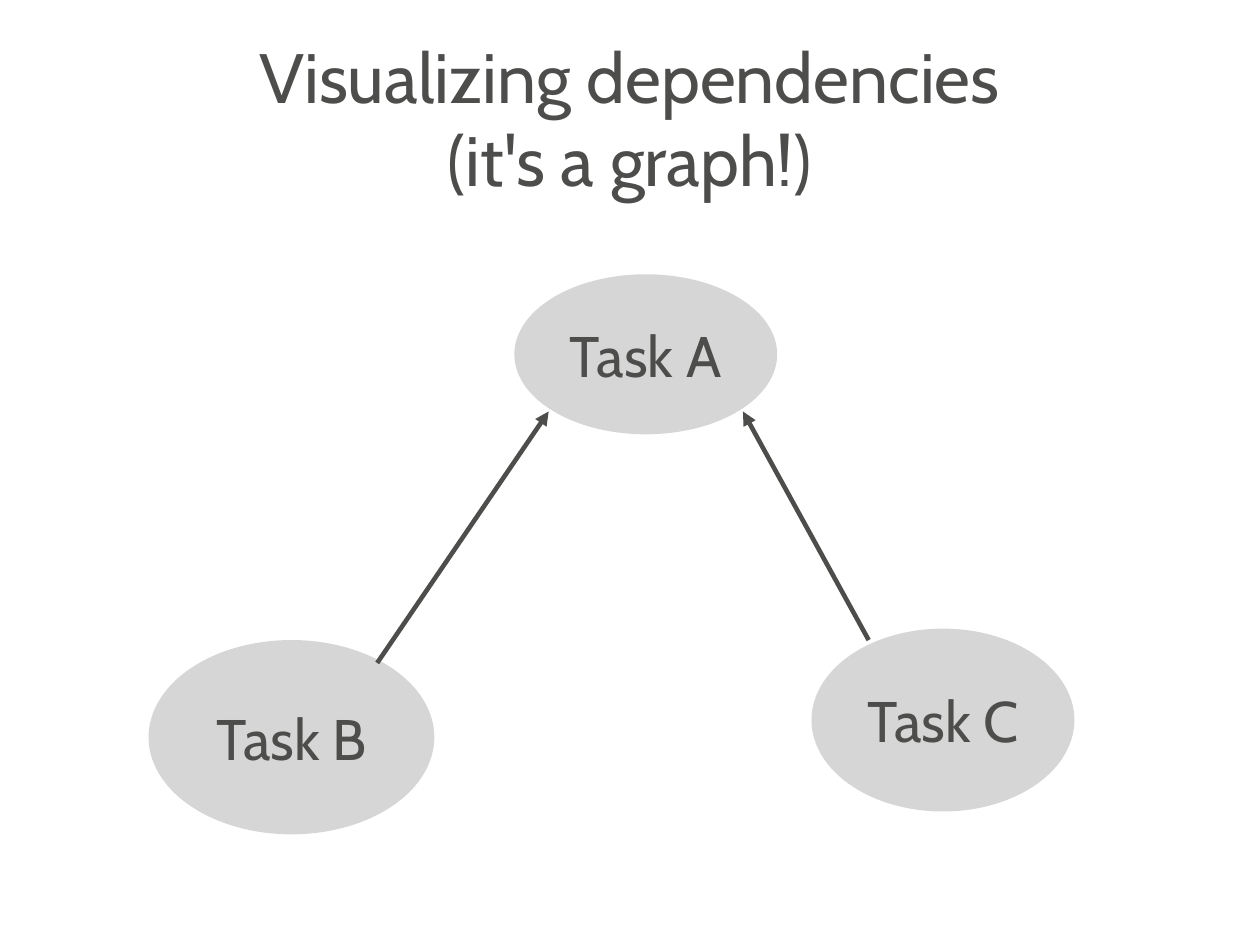
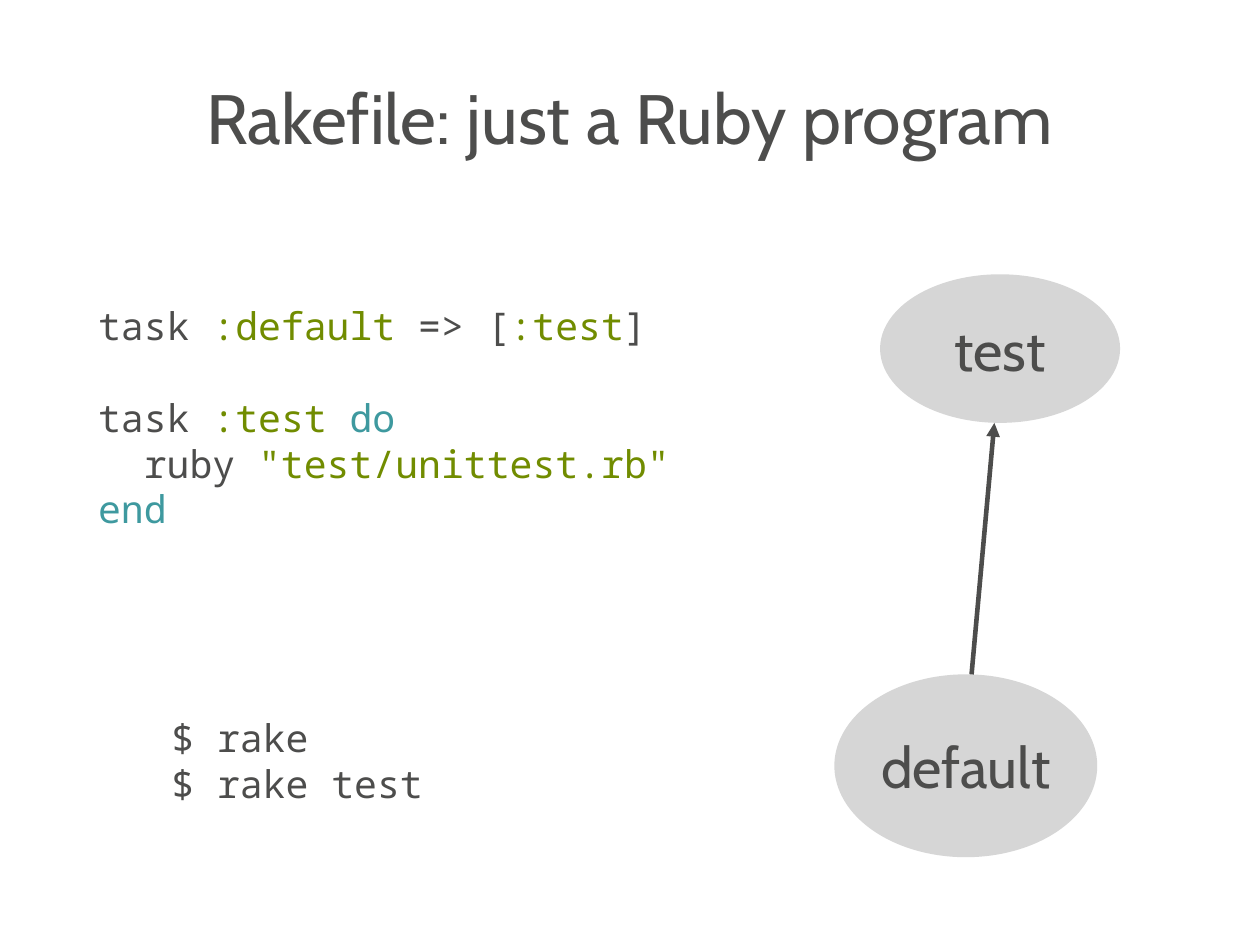
from lxml import etree
from pptx import Presentation
from pptx.dml.color import RGBColor
from pptx.enum.shapes import MSO_CONNECTOR, MSO_SHAPE
from pptx.enum.text import MSO_ANCHOR, PP_ALIGN
from pptx.oxml.ns import qn
from pptx.util import Inches, Pt

# Shared style
DARK, GREY, GREEN, TEAL = "4D4D4C", "D6D6D6", "718C00", "3E999F"
SANS, MONO = "Cabin", "Noto Sans Mono"
CODE_SIZE, CODE_LINE, CODE_CHAR = 24, 28.8, 0.2
CM_PER_INCH = 2.54


def rgb(color):
    return RGBColor.from_string(color)


def add_run(p, text, size, font, color=DARK):
    r = p.add_run()
    r.text = text
    r.font.size = Pt(size)
    r.font.name = font
    r.font.color.rgb = rgb(color)


# Slide content: nodes are (text, left, top, width, height),
# arrows are (x1, y1, x2, y2), and code lines are
# (indent in characters, blank lines before, runs)
slides = [
    {
        "title": ["Visualizing dependencies", "(it's a graph!)"],
        "title_box": (0.55, 0.19, 9.92, 1.67),
        "code": [],
        "nodes": [
            ("Task B", 1.3, 5.6, 2.5, 1.7),
            ("Task A", 4.5, 2.4, 2.3, 1.4),
            ("Task C", 7.1, 5.5, 2.3, 1.6),
        ],
        "arrows": [(3.3, 5.8, 4.8, 3.6), (7.6, 5.6, 6.5, 3.6)],
    },
    {
        "title": ["Rakefile: just a Ruby program"],
        "title_box": (0.55, 0.33, 9.92, 1.38),
        "code": [
            ((0.76, 2.6, 5.21, 2.6), [
                (0, 0, [("task ", DARK), (":default", GREEN), (" => [", DARK),
                        (":test", GREEN), ("]", DARK)]),
                (0, 1, [("task ", DARK), (":test ", GREEN), ("do", TEAL)]),
                (2, 0, [("ruby ", DARK), ('"test/unittest.rb"', GREEN)]),
                (0, 0, [("end", TEAL)]),
            ]),
            ((1.4, 6.2, 3.52, 1.3), [
                (0, 0, [("$ rake", DARK)]),
                (0, 0, [("$ rake test", DARK)]),
            ]),
        ],
        "nodes": [
            ("default", 7.3, 5.9, 2.3, 1.6),
            ("test", 7.7, 2.4, 2.1, 1.3),
        ],
        "arrows": [(8.5, 5.9, 8.7, 3.7)],
    },
]

# The page is 28 by 21 cm
prs = Presentation()
prs.slide_width = Inches(28 / CM_PER_INCH)
prs.slide_height = Inches(21 / CM_PER_INCH)

for content in slides:
    s = prs.slides.add_slide(prs.slide_layouts[6])

    # Title
    tf = s.shapes.add_textbox(*map(Inches, content["title_box"])).text_frame
    tf.word_wrap = True
    tf.vertical_anchor = MSO_ANCHOR.MIDDLE
    tf.margin_left = tf.margin_right = tf.margin_top = tf.margin_bottom = 0
    p = tf.paragraphs[0]
    p.alignment = PP_ALIGN.CENTER
    for i, line in enumerate(content["title"]):
        if i:
            p.add_line_break()
        add_run(p, line, 44, SANS)

    # Code
    for box, lines in content["code"]:
        tf = s.shapes.add_textbox(*map(Inches, box)).text_frame
        tf.word_wrap = False
        for i, (indent, blanks, runs) in enumerate(lines):
            p = tf.add_paragraph() if i else tf.paragraphs[0]
            p.space_before = Pt(blanks * CODE_LINE)
            if indent:
                p._p.get_or_add_pPr().set("marL", str(Inches(indent * CODE_CHAR)))
            for text, color in runs:
                add_run(p, text, CODE_SIZE, MONO, color)

    # Graph nodes
    for text, *box in content["nodes"]:
        sp = s.shapes.add_shape(MSO_SHAPE.OVAL, *map(Inches, box))
        sp.shadow.inherit = False
        sp.fill.solid()
        sp.fill.fore_color.rgb = rgb(GREY)
        sp.line.fill.background()
        tf = sp.text_frame
        tf.word_wrap = False
        tf.vertical_anchor = MSO_ANCHOR.MIDDLE
        p = tf.paragraphs[0]
        p.alignment = PP_ALIGN.CENTER
        add_run(p, text, 36, SANS)

    # Graph arrows
    for ends in content["arrows"]:
        cxn = s.shapes.add_connector(MSO_CONNECTOR.STRAIGHT, *map(Inches, ends))
        cxn.line.color.rgb = rgb(DARK)
        cxn.line.width = Pt(2.89)
        spPr = cxn._element.spPr
        etree.SubElement(spPr.find(qn("a:ln")), qn("a:tailEnd")).set("type", "triangle")
        etree.SubElement(spPr, qn("a:effectLst"))

prs.save("out.pptx")
